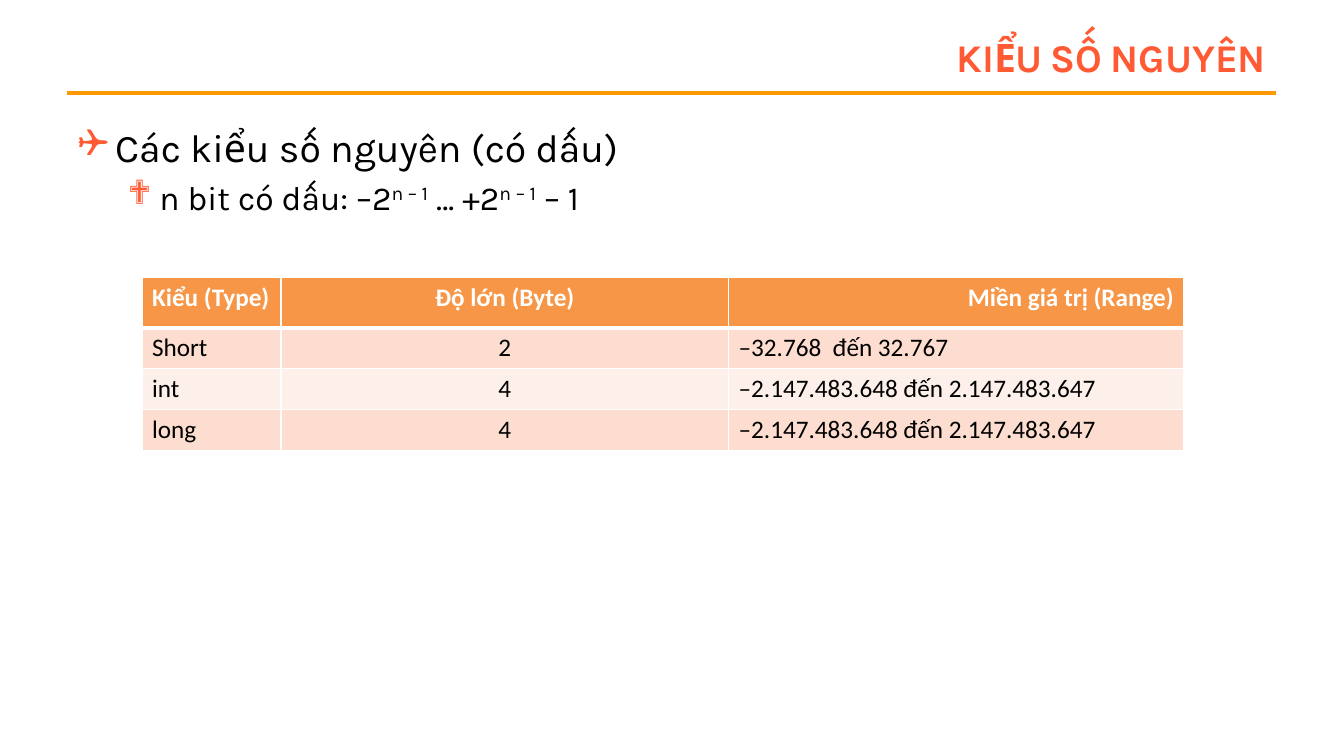
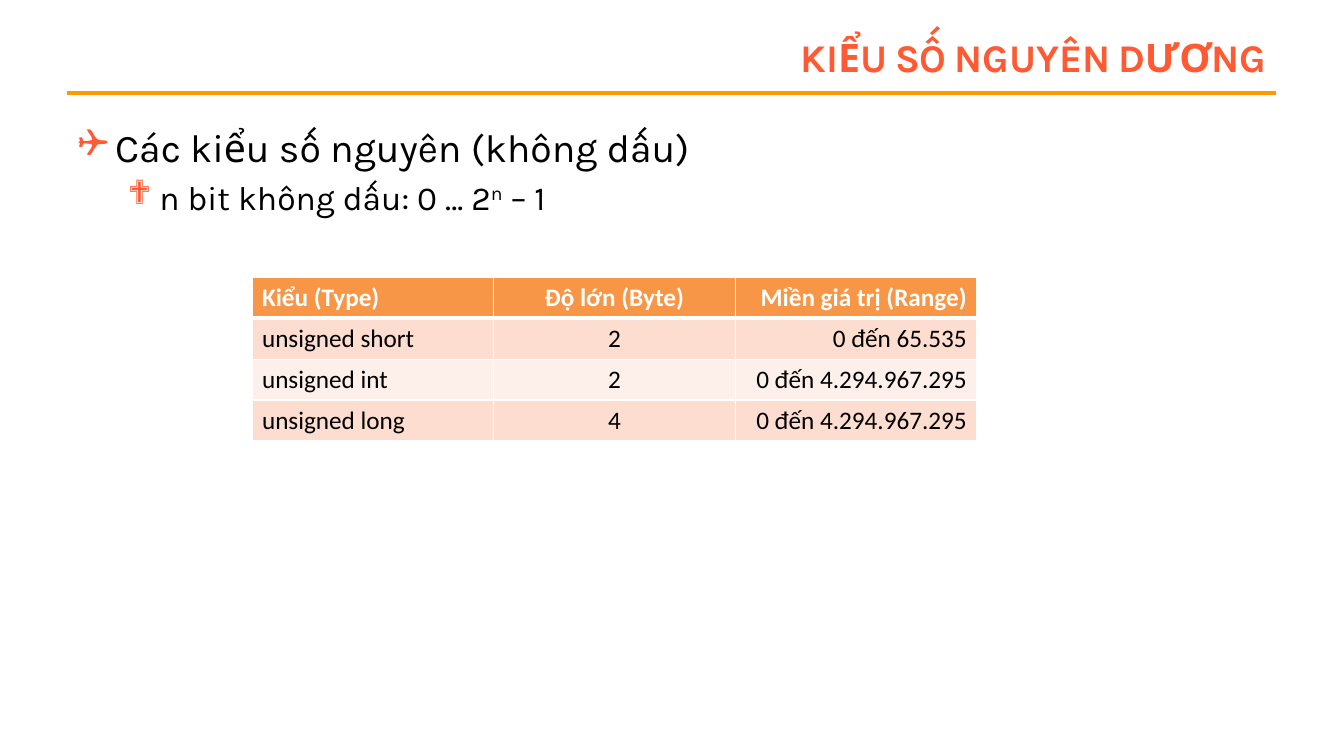
"""Two slides on signed and unsigned integer types, each with a list and a table."""
from lxml import etree
from pptx import Presentation
from pptx.dml.color import RGBColor
from pptx.enum.shapes import MSO_CONNECTOR
from pptx.enum.text import MSO_ANCHOR, MSO_AUTO_SIZE, PP_ALIGN
from pptx.oxml.ns import qn
from pptx.util import Cm, Pt

LEFT, CENTER, RIGHT = PP_ALIGN.LEFT, PP_ALIGN.CENTER, PP_ALIGN.RIGHT
MIDDLE, TOP = MSO_ANCHOR.MIDDLE, MSO_ANCHOR.TOP
NO_AUTOFIT = MSO_AUTO_SIZE.NONE
STRAIGHT = MSO_CONNECTOR.STRAIGHT

COLORS = {
    "accent": "FF5A33",
    "rule": "FF9900",
    "text": "000000",
    "white": "FFFFFF",
    "header": "F79646",
    "band_dark": "FCDDCF",
    "band_light": "FDEFE9",
}
SLIDE_FONT, TABLE_FONT = "Karla", "Calibri"
TITLE_BOX = (7.62, 0.76, 24.54, 1.35)
BODY_BOX = (1.7, 2.97, 30.48, 14.6)
RULE_LEFT, RULE_RIGHT, RULE_TOP = 1.7, 32.16, 2.34
LIST_LEVELS = [
    {"bullet": "❑", "margin": 0.95, "hanging": 0.95, "size": 28},
    {"bullet": "❖", "margin": 2.06, "hanging": 0.79, "size": 24},
]
TABLE_TOP, ROW_HEIGHT = 6.99, 1.03
HEADINGS = ["Kiểu (Type)", "Độ lớn (Byte)", "Miền giá trị (Range)"]
HEADING_ALIGNS = [LEFT, CENTER, RIGHT]

SLIDES = [
    {
        "title": "KIỂU SỐ NGUYÊN",
        "topic": "Các kiểu số nguyên (có dấu)",
        "formula": ["n bit có dấu: –2", "n – 1", " … +2", "n – 1", " – 1"],
        "table": {
            "left": 3.58,
            "widths": [3.5, 11.28, 11.48],
            "header_height": 1.27,
            "aligns": [LEFT, CENTER, LEFT],
            "rows": [
                ["Short", "2", "–32.768  đến 32.767"],
                ["int", "4", "–2.147.483.648 đến 2.147.483.647"],
                ["long", "4", "–2.147.483.648 đến 2.147.483.647"],
            ],
        },
    },
    {
        "title": "KIỂU SỐ NGUYÊN DƯƠNG",
        "topic": "Các kiểu số nguyên (không dấu)",
        "formula": ["n bit không dấu: 0 … 2", "n", " – 1"],
        "table": {
            "left": 6.35,
            "widths": [6.09] * 3,
            "header_height": ROW_HEIGHT,
            "aligns": HEADING_ALIGNS,
            "rows": [
                ["unsigned short", "2", "0 đến 65.535"],
                ["unsigned int", "2", "0 đến 4.294.967.295"],
                ["unsigned long", "4", "0 đến 4.294.967.295"],
            ],
        },
    },
]


def rgb(name):
    """Return the named palette colour."""
    return RGBColor.from_string(COLORS[name])


def write(paragraph, text, size, font=SLIDE_FONT, color="text", bold=False,
          align=None, superscript=False, small_caps=False):
    """Append one formatted run to a paragraph."""
    run = paragraph.add_run()
    run.text = text
    run.font.size = Pt(size)
    run.font.name = font
    run.font.bold = bold
    run.font.color.rgb = rgb(color)
    if align is not None:
        paragraph.alignment = align
    properties = run.font._element
    if superscript:
        properties.set("baseline", "30000")
    if small_caps:
        properties.set("cap", "small")


def place(placeholder, box):
    """Move a placeholder to a box given in centimetres."""
    left, top, width, height = (Cm(length) for length in box)
    placeholder.left, placeholder.top = left, top
    placeholder.width, placeholder.height = width, height


def set_up_layout(layout, slide):
    """Give the layout its title and body boxes and the rule under the title."""
    title, body = layout.placeholders[0], layout.placeholders[1]
    place(title, TITLE_BOX)
    place(body, BODY_BOX)
    rule = slide.shapes.add_connector(
        STRAIGHT, Cm(RULE_LEFT), Cm(RULE_TOP), Cm(RULE_RIGHT), Cm(RULE_TOP))
    rule.line.color.rgb = rgb("rule")
    rule.line.width = Pt(3)
    etree.SubElement(rule.element.spPr, qn("a:effectLst"))
    layout.shapes.element.append(rule.element)


def fill_title(title, text):
    """Write the slide title."""
    frame = title.text_frame
    frame.auto_size = NO_AUTOFIT
    frame.vertical_anchor = MIDDLE
    write(frame.paragraphs[0], text, 28, color="accent", bold=True,
          align=RIGHT, small_caps=True)


def set_bullet(paragraph, level):
    """Apply the indents and bullet of a list level."""
    style = LIST_LEVELS[level]
    paragraph.level = level
    properties = paragraph._p.get_or_add_pPr()
    properties.set("marL", str(Cm(style["margin"])))
    properties.set("indent", str(-Cm(style["hanging"])))
    bullet_color = etree.SubElement(properties, qn("a:buClr"))
    etree.SubElement(bullet_color, qn("a:srgbClr"), val=COLORS["accent"])
    etree.SubElement(properties, qn("a:buFont"), typeface="Wingdings")
    etree.SubElement(properties, qn("a:buChar"), char=style["bullet"])


def fill_body(body, topic, formula):
    """Write the topic and its formula, whose odd pieces are exponents."""
    frame = body.text_frame
    frame.auto_size = NO_AUTOFIT
    frame.vertical_anchor = TOP
    for level, pieces in enumerate([[topic], formula]):
        paragraph = frame.paragraphs[0] if level == 0 else frame.add_paragraph()
        set_bullet(paragraph, level)
        for index, piece in enumerate(pieces):
            write(paragraph, piece, LIST_LEVELS[level]["size"],
                  superscript=index % 2 == 1)


def set_borders(cell, top, bottom):
    """Draw white borders around a cell, with the given top and bottom widths."""
    properties = cell._tc.get_or_add_tcPr()
    for side, width in (("L", 1), ("R", 1), ("T", top), ("B", bottom)):
        border = etree.SubElement(properties, qn(f"a:ln{side}"), w=str(Pt(width)))
        fill = etree.SubElement(border, qn("a:solidFill"))
        etree.SubElement(fill, qn("a:srgbClr"), val=COLORS["white"])


def add_type_table(slide, left, top, widths, header_height, aligns, rows):
    """Add the table of types, sizes and ranges."""
    heights = [header_height] + [ROW_HEIGHT] * len(rows)
    table = slide.shapes.add_table(
        len(heights), len(widths), Cm(left), Cm(top),
        Cm(sum(widths)), Cm(sum(heights))).table
    for column, width in zip(table.columns, widths):
        column.width = Cm(width)
    for row, height in zip(table.rows, heights):
        row.height = Cm(height)
    for row_index, texts in enumerate([HEADINGS] + rows):
        is_header = row_index == 0
        band = "band_dark" if row_index % 2 else "band_light"
        row_aligns = HEADING_ALIGNS if is_header else aligns
        for column_index, text in enumerate(texts):
            cell = table.cell(row_index, column_index)
            set_borders(cell, top=3 if row_index == 1 else 1,
                        bottom=3 if is_header else 1)
            cell.fill.solid()
            cell.fill.fore_color.rgb = rgb("header" if is_header else band)
            write(cell.text_frame.paragraphs[0], text, 18, font=TABLE_FONT,
                  color="white" if is_header else "text", bold=is_header,
                  align=row_aligns[column_index])


def build_slide(slide, content):
    """Fill one slide with its title, list and table."""
    fill_title(slide.shapes.title, content["title"])
    fill_body(slide.placeholders[1], content["topic"], content["formula"])
    add_type_table(slide, top=TABLE_TOP, **content["table"])


def main():
    """Build and save the presentation."""
    presentation = Presentation()
    presentation.slide_width, presentation.slide_height = Cm(33.87), Cm(19.05)
    layout = presentation.slide_layouts[1]
    slides = [presentation.slides.add_slide(layout) for _ in SLIDES]
    set_up_layout(layout, slides[0])
    for slide, content in zip(slides, SLIDES):
        build_slide(slide, content)
    presentation.save("out.pptx")


if __name__ == "__main__":
    main()
